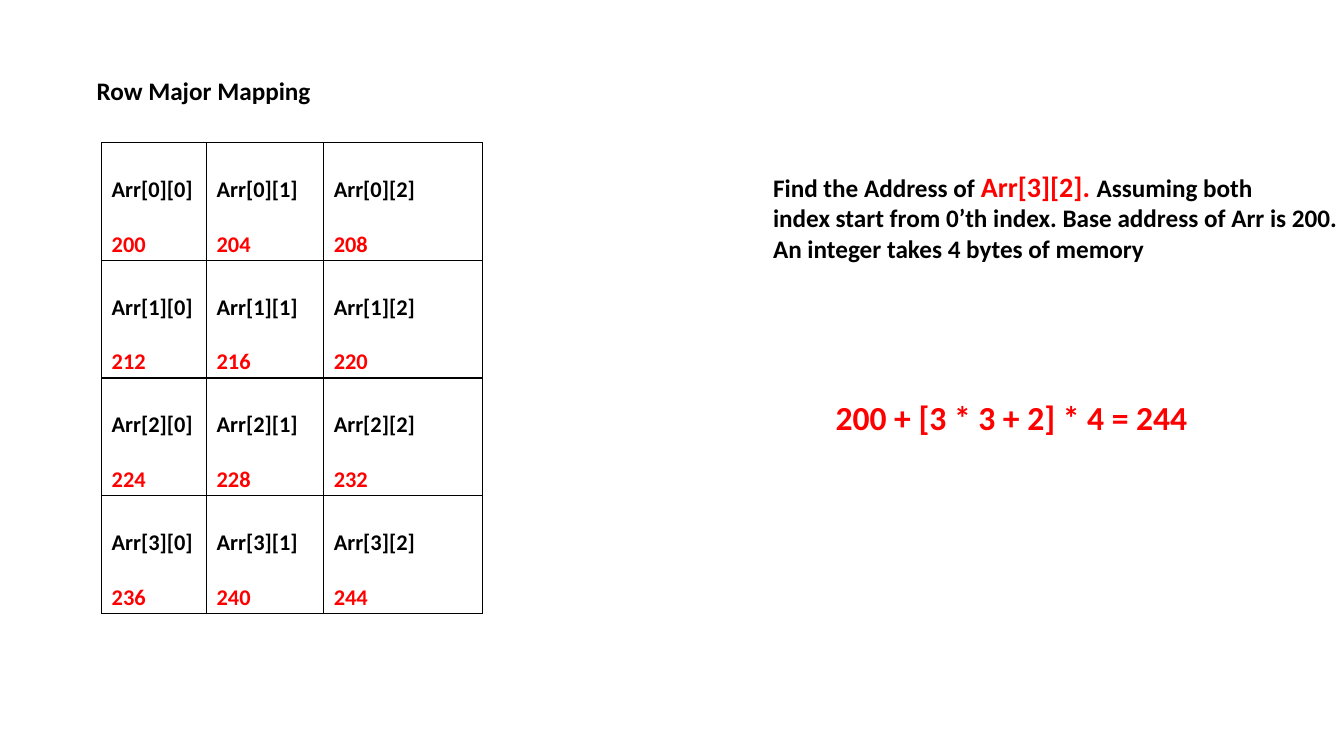
"""Builds the slide that explains row major mapping of a two-dimensional array."""
from dataclasses import dataclass
from itertools import product
from typing import NamedTuple

from lxml.etree import SubElement
from pptx import Presentation
from pptx.dml.color import RGBColor
from pptx.enum.text import MSO_ANCHOR, MSO_AUTO_SIZE, PP_ALIGN
from pptx.oxml.ns import qn
from pptx.util import Inches, Pt


@dataclass(frozen=True)
class Theme:
    font: str = "Calibri"
    ink: str = "000000"
    accent: str = "FF0000"
    cell: int = 16
    body: int = 18
    target: int = 20
    formula: int = 24
    blank_line: float = 19.5
    border: int = 1


class Run(NamedTuple):
    text: str
    size: int
    color: str


class Box(NamedTuple):
    col: float
    row: float
    cols: float
    rows: float


class Note(NamedTuple):
    box: Box
    lines: list[list[Run]]


THEME = Theme()
GRID_COLS, GRID_ROWS = 160, 90
SLIDE_W, SLIDE_H = Inches(13.333), Inches(7.5)

TITLE_BOX = Box(10.3, 8.4, 32.5, 4.8)
TABLE_LEFT, TABLE_TOP = 12.1, 17
ARRAY_COLS = [12.5, 13.95, 18.95]
ARRAY_ROWS, ROW_HEIGHT = 4, 14
BASE_ADDRESS, INT_BYTES = 200, 4

NOTES = [
    Note(Box(90.85, 19.55, 70.2, 12.5), [
        [Run("Find the Address of ", THEME.body, THEME.ink),
         Run("Arr[3][2]. ", THEME.target, THEME.accent),
         Run("Assuming both", THEME.body, THEME.ink)],
        [Run("index start from 0’th index. Base address of Arr is 200.", THEME.body, THEME.ink)],
        [Run("An integer takes 4 bytes of memory", THEME.body, THEME.ink)],
    ]),
    Note(Box(98.3, 46.7, 44.65, 6), [
        [Run("200 + [3 * 3 + 2] * 4 = 244", THEME.formula, THEME.accent)],
    ]),
]


def across(cols: float) -> int:
    """Turn grid columns into a length."""
    return round(SLIDE_W * cols / GRID_COLS)


def down(rows: float) -> int:
    """Turn grid rows into a length."""
    return round(SLIDE_H * rows / GRID_ROWS)


def place(box: Box) -> tuple[int, int, int, int]:
    """Turn a grid box into left, top, width and height."""
    return across(box.col), down(box.row), across(box.cols), down(box.rows)


def add_run(p, text: str, *, size: int, color: str) -> None:
    """Add one bold run to a paragraph."""
    r = p.add_run()
    r.text = text
    r.font.name = THEME.font
    r.font.size = Pt(size)
    r.font.bold = True
    r.font.color.rgb = RGBColor.from_string(color)


def write(tf, lines: list[list[Run]], *, gap: float = 0) -> None:
    """Write lines of runs into a text frame with a gap between them."""
    for i, line in enumerate(lines):
        p = tf.add_paragraph() if i else tf.paragraphs[0]
        p.alignment = PP_ALIGN.LEFT
        if i and gap:
            p.space_before = Pt(gap)
        for run in line:
            add_run(p, run.text, size=run.size, color=run.color)


def add_title(s, text: str) -> None:
    """Move and format the title placeholder."""
    sp = s.shapes.title
    sp.left, sp.top, sp.width, sp.height = place(TITLE_BOX)
    tf = sp.text_frame
    tf.auto_size = MSO_AUTO_SIZE.NONE
    tf.vertical_anchor = MSO_ANCHOR.TOP
    write(tf, [[Run(text, THEME.body, THEME.ink)]])


def add_note(s, note: Note) -> None:
    """Add an unwrapped text box."""
    tf = s.shapes.add_textbox(*place(note.box)).text_frame
    tf.word_wrap = False
    write(tf, note.lines)


def add_borders(cell) -> None:
    """Draw a thin line on every side of a cell."""
    tc_pr = cell._tc.get_or_add_tcPr()
    for side in ("a:lnL", "a:lnR", "a:lnT", "a:lnB"):
        ln = SubElement(tc_pr, qn(side), w=str(Pt(THEME.border)))
        fill = SubElement(ln, qn("a:solidFill"))
        SubElement(fill, qn("a:srgbClr"), val=THEME.ink)


def add_array_table(s) -> None:
    """Add the table of array elements and their addresses."""
    box = Box(TABLE_LEFT, TABLE_TOP, sum(ARRAY_COLS), ARRAY_ROWS * ROW_HEIGHT)
    table = s.shapes.add_table(ARRAY_ROWS, len(ARRAY_COLS), *place(box)).table
    table.first_row = table.horz_banding = False
    for column, cols in zip(table.columns, ARRAY_COLS):
        column.width = across(cols)
    for row in table.rows:
        row.height = down(ROW_HEIGHT)
    for i, j in product(range(ARRAY_ROWS), range(len(ARRAY_COLS))):
        address = BASE_ADDRESS + (i * len(ARRAY_COLS) + j) * INT_BYTES
        cell = table.cell(i, j)
        cell.vertical_anchor = MSO_ANCHOR.BOTTOM
        cell.margin_bottom = Inches(0.02)
        add_borders(cell)
        cell.fill.background()
        write(cell.text_frame, [[Run(f"Arr[{i}][{j}]", THEME.cell, THEME.ink)],
                                [Run(str(address), THEME.cell, THEME.accent)]],
              gap=THEME.blank_line)


def main() -> None:
    """Build and save the presentation."""
    prs = Presentation()
    prs.slide_width, prs.slide_height = SLIDE_W, SLIDE_H
    s = prs.slides.add_slide(prs.slide_layouts[5])
    add_title(s, "Row Major Mapping")
    add_array_table(s)
    for note in NOTES:
        add_note(s, note)
    prs.save("out.pptx")


if __name__ == "__main__":
    main()
